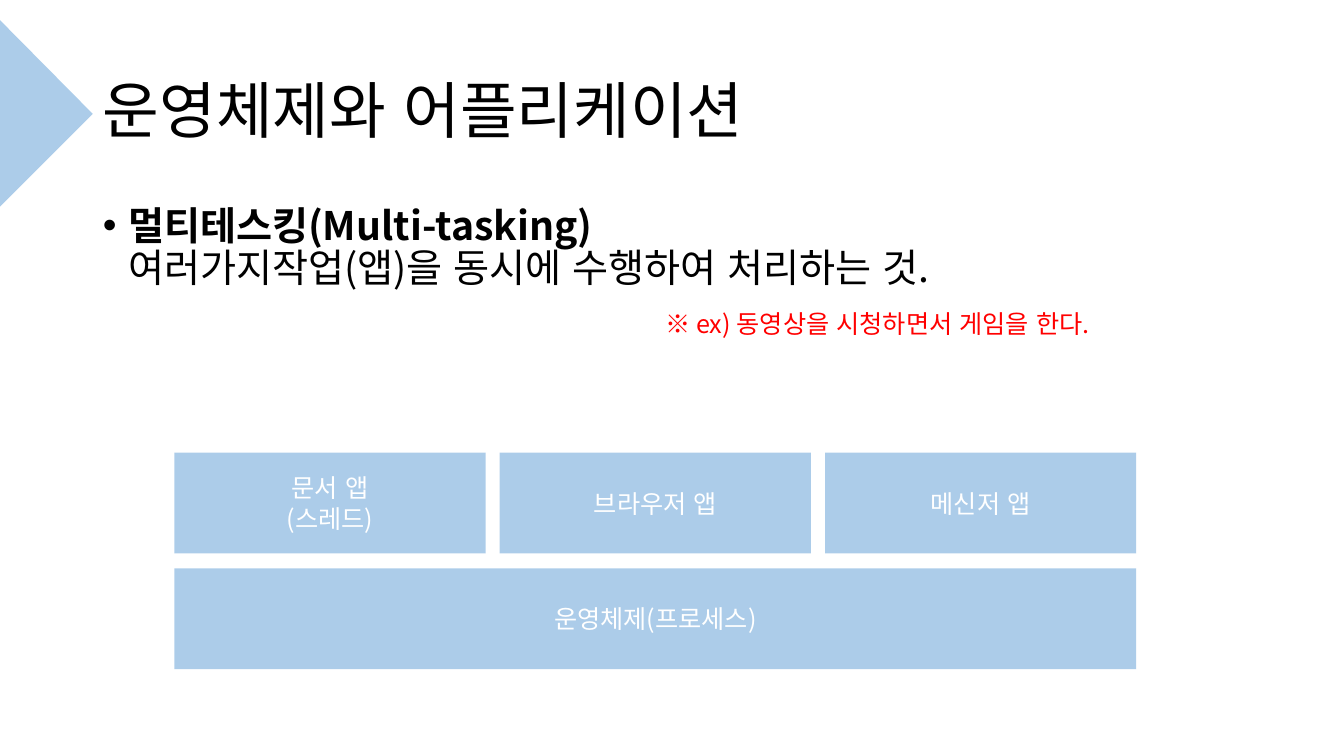
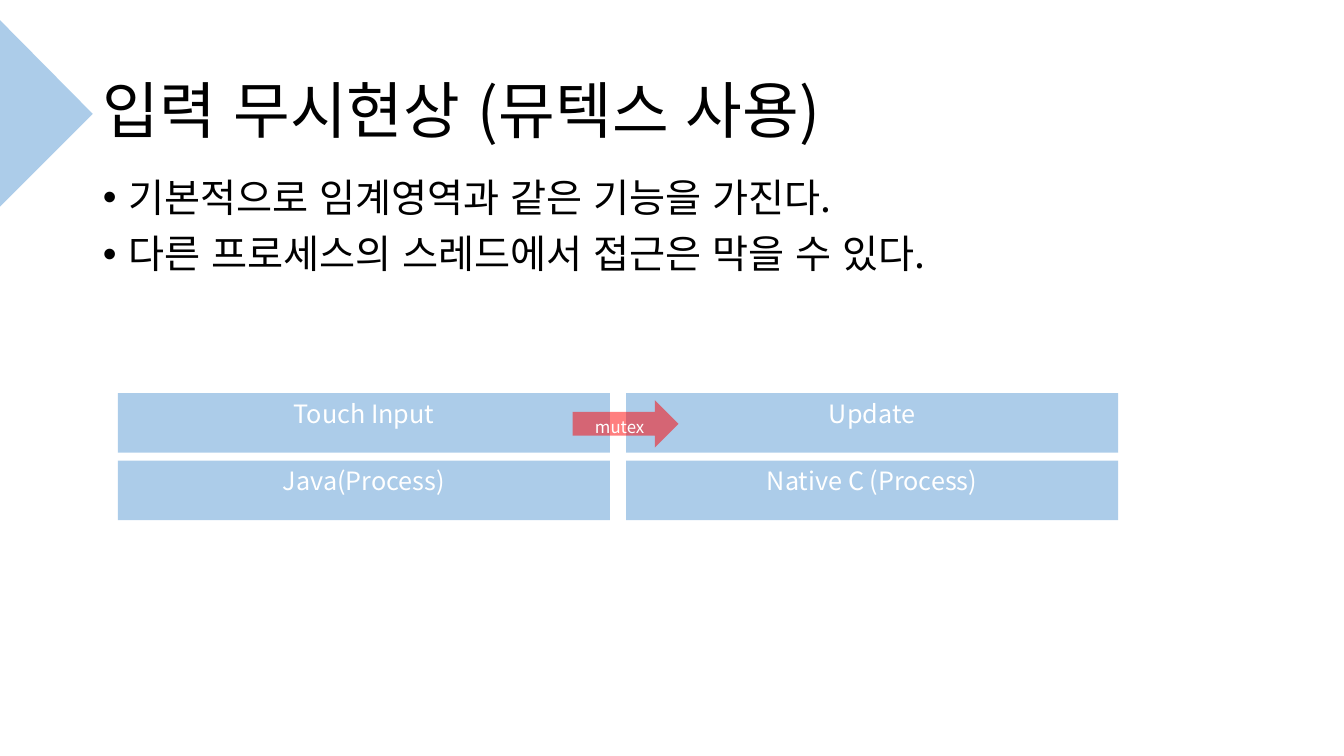
"""Build two slides on multitasking and on ignored input with a mutex."""

import copy
import dataclasses
import typing

import lxml.etree
import pptx
import pptx.dml.color
import pptx.enum.lang
import pptx.enum.shapes
import pptx.enum.text
import pptx.oxml.ns
import pptx.util

FONT = "Noto Sans CJK KR"
COLORS = {"accent": "5B9BD5", "alert": "FF0000", "ink": "000000", "paper": "FFFFFF"}
SLIDE_WIDTH, SLIDE_HEIGHT = 13.33, 7.5
MARGIN, CONTENT_WIDTH = 0.92, 11.5
ALIGN = pptx.enum.text.PP_ALIGN
ANCHOR = pptx.enum.text.MSO_ANCHOR
SHAPE = pptx.enum.shapes.MSO_SHAPE
qn = pptx.oxml.ns.qn


class Area(typing.NamedTuple):
    left: float
    top: float
    width: float
    height: float

    def emu(self) -> list[int]:
        return [pptx.util.Inches(length) for length in self]


@dataclasses.dataclass(frozen=True)
class Grid:
    left: float
    top: float
    width: float
    row_height: float
    columns: int
    column_gap: float
    row_gap: float

    def area(self, row: int, column: int, span: int) -> Area:
        column_width = (self.width + self.column_gap) / self.columns - self.column_gap
        return Area(
            self.left + column * (column_width + self.column_gap),
            self.top + row * (self.row_height + self.row_gap),
            span * (column_width + self.column_gap) - self.column_gap,
            self.row_height,
        )


class Block(typing.NamedTuple):
    label: str
    row: int
    column: int
    span: int = 1


@dataclasses.dataclass(frozen=True)
class Topic:
    title: str
    bullets: list[str]
    body_top: float
    body_height: float
    grid: Grid
    blocks: list[Block]
    anchor: typing.Any


MULTITASKING = Topic(
    "운영체제와 어플리케이션",
    ["멀티테스킹(Multi-tasking)\v여러가지작업(앱)을 동시에 수행하여 처리하는 것."],
    2.0,
    1.01,
    Grid(1.73, 4.49, 9.54, 1.0, 3, 0.14, 0.15),
    [
        Block("운영체제(프로세스)", 1, 0, 3),
        Block("문서 앱\v(스레드)", 0, 0),
        Block("브라우저 앱", 0, 1),
        Block("메신저 앱", 0, 2),
    ],
    ANCHOR.MIDDLE,
)
MUTEX = Topic(
    "입력 무시현상 (뮤텍스 사용)",
    ["기본적으로 임계영역과 같은 기능을 가진다.", "다른 프로세스의 스레드에서 접근은 막을 수 있다."],
    1.72,
    1.8,
    Grid(1.17, 3.9, 9.92, 0.59, 2, 0.16, 0.08),
    [
        Block("Java(Process)", 1, 0),
        Block("Native C (Process)", 1, 1),
        Block("Touch Input", 0, 0),
        Block("Update", 0, 1),
    ],
    ANCHOR.TOP,
)


def rgb(color: str) -> pptx.dml.color.RGBColor:
    return pptx.dml.color.RGBColor.from_string(COLORS[color])


def style_text(frame: typing.Any, size: float, color: str, align: typing.Any) -> None:
    for paragraph in frame.paragraphs:
        paragraph.alignment = align
        for run in paragraph.runs:
            run.font.size = pptx.util.Pt(size)
            run.font.name = FONT
            run.font.color.rgb = rgb(color)
            run.font.language_id = pptx.enum.lang.MSO_LANGUAGE_ID.KOREAN
            properties = run._r.get_or_add_rPr()
            east_asian = lxml.etree.Element(qn("a:ea"), typeface=FONT)
            properties.find(qn("a:latin")).addnext(east_asian)
        for line_break in paragraph._p.findall(qn("a:br")):
            line_break.append(copy.deepcopy(properties))


def paint(shape: typing.Any, color: str) -> None:
    shape.shadow.inherit = False
    shape.line.fill.background()
    shape.fill.solid()
    shape.fill.fore_color.rgb = rgb(color)
    tint = shape._element.spPr.find(qn("a:solidFill")).find(qn("a:srgbClr"))
    lxml.etree.SubElement(tint, qn("a:alpha"), val="50000")


def place(placeholder: typing.Any, area: Area) -> typing.Any:
    placeholder.left, placeholder.top, placeholder.width, placeholder.height = area.emu()
    frame = placeholder.text_frame
    frame.auto_size = pptx.enum.text.MSO_AUTO_SIZE.NONE
    return frame


def add_pointer(slide: typing.Any) -> None:
    corners = [(0, 0.2), (MARGIN, 1.13), (0, 2.05)]
    points = [(pptx.util.Inches(x), pptx.util.Inches(y)) for x, y in corners]
    builder = slide.shapes.build_freeform(*points[0])
    builder.add_line_segments(points[1:], close=True)
    paint(builder.convert_to_shape(), "accent")


def add_block(
    slide: typing.Any, kind: typing.Any, area: Area, label: str, color: str, size: float, anchor: typing.Any
) -> None:
    block = slide.shapes.add_shape(kind, *area.emu())
    paint(block, color)
    block.text_frame.text = label
    block.text_frame.vertical_anchor = anchor
    style_text(block.text_frame, size, "paper", ALIGN.CENTER)


def add_bullets(slide: typing.Any, topic: Topic) -> typing.Any:
    area = Area(MARGIN, topic.body_top, CONTENT_WIDTH, topic.body_height)
    frame = place(slide.placeholders[1], area)
    frame.text = "\n".join(topic.bullets)
    indent = pptx.util.Inches(0.25)
    for index, paragraph in enumerate(frame.paragraphs):
        properties = paragraph._p.get_or_add_pPr()
        properties.set("marL", str(indent))
        properties.set("indent", str(-indent))
        lxml.etree.SubElement(properties, qn("a:buFont"), typeface="Arial")
        lxml.etree.SubElement(properties, qn("a:buChar"), char="•")
        paragraph.line_spacing = 0.9
        paragraph.space_before = pptx.util.Pt(10 if index else 0)
    style_text(frame, 28, "ink", ALIGN.LEFT)
    return frame


def add_topic(deck: typing.Any, topic: Topic) -> typing.Any:
    slide = deck.slides.add_slide(deck.slide_layouts[1])
    title = place(slide.shapes.title, Area(MARGIN, 0.4, CONTENT_WIDTH, 1.45))
    title.text = topic.title
    title.vertical_anchor = ANCHOR.MIDDLE
    title.paragraphs[0].line_spacing = 0.9
    style_text(title, 44, "ink", ALIGN.LEFT)
    add_pointer(slide)
    for block in topic.blocks:
        area = topic.grid.area(block.row, block.column, block.span)
        add_block(slide, SHAPE.RECTANGLE, area, block.label, "accent", 18, topic.anchor)
    return slide


def add_example(slide: typing.Any) -> None:
    example = slide.shapes.add_textbox(*Area(6.5, 3.01, 5.19, 0.4).emu()).text_frame
    example.word_wrap = True
    example.text = "※ ex) 동영상을 시청하면서 게임을 한다."
    style_text(example, 18, "alert", ALIGN.LEFT)


def main() -> None:
    deck = pptx.Presentation()
    deck.slide_width = pptx.util.Inches(SLIDE_WIDTH)
    deck.slide_height = pptx.util.Inches(SLIDE_HEIGHT)

    multitasking = add_topic(deck, MULTITASKING)
    definition = add_bullets(multitasking, MULTITASKING)
    definition.paragraphs[0].runs[0].font.bold = True
    add_example(multitasking)

    mutex = add_topic(deck, MUTEX)
    add_bullets(mutex, MUTEX)
    arrow = Area(5.68, 3.97, 1.05, 0.47)
    add_block(mutex, SHAPE.RIGHT_ARROW, arrow, "mutex", "alert", 12, ANCHOR.TOP)

    deck.save("out.pptx")


if __name__ == "__main__":
    main()
